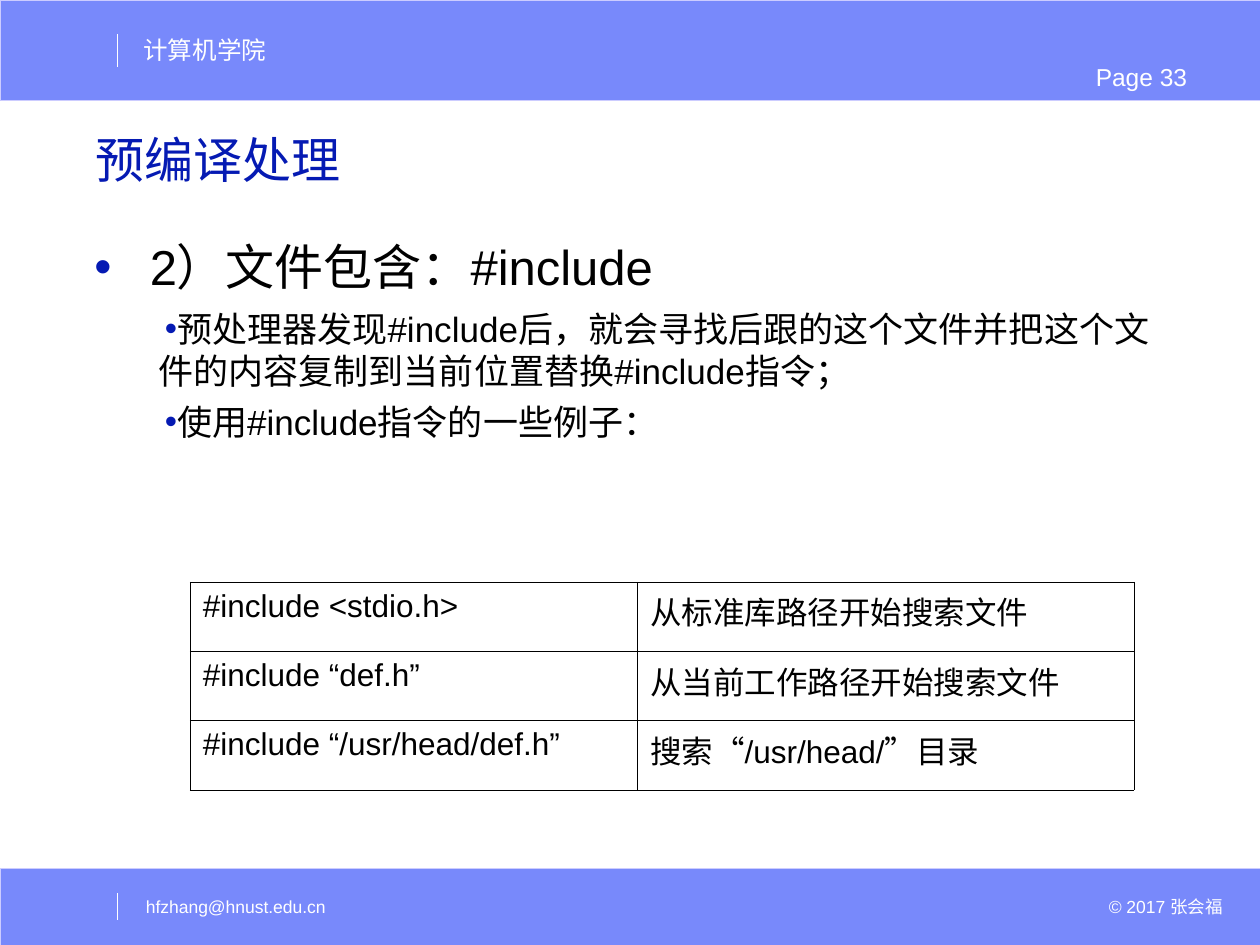
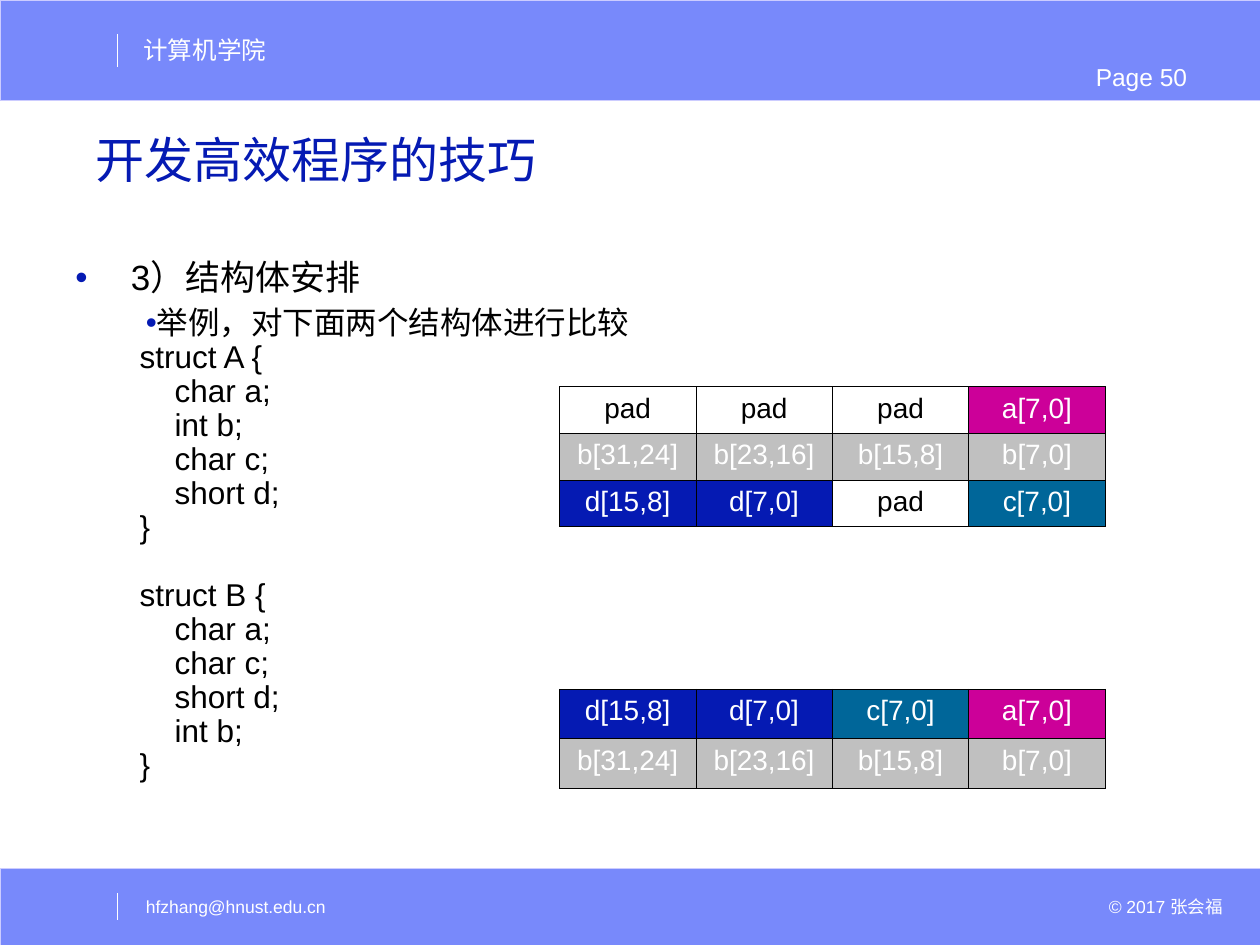
"""Build two lecture slides on C preprocessing and structure layout."""
import pptx
import pptx.dml.color
import pptx.enum.shapes
import pptx.enum.text
import pptx.oxml
import pptx.oxml.ns
import pptx.util
from lxml import etree

RGBColor = pptx.dml.color.RGBColor
Align = pptx.enum.text.PP_ALIGN
Anchor = pptx.enum.text.MSO_ANCHOR

BLACK = RGBColor(0x00, 0x00, 0x00)
WHITE = RGBColor(0xFF, 0xFF, 0xFF)
BAND = RGBColor(0x78, 0x89, 0xFB)
BAND_EDGE = RGBColor(0xCC, 0xCC, 0xFF)
BLUE = RGBColor(0x05, 0x1A, 0xB3)
MAGENTA = RGBColor(0xCC, 0x00, 0x99)
GREY = RGBColor(0xC0, 0xC0, 0xC0)
TEAL = RGBColor(0x00, 0x66, 0x99)
FIELD_FILLS = {"a": MAGENTA, "b": GREY, "c": TEAL, "d": BLUE}

COLUMNS, ROWS = 100, 75
TITLE_ONLY = 5

INCLUDE_FORMS = [
    ["#include <stdio.h>", "从标准库路径开始搜索文件"],
    ["#include “def.h”", "从当前工作路径开始搜索文件"],
    ["#include “/usr/head/def.h”", "搜索“/usr/head/”目录"],
]
B_WORD = ["b[31,24]", "b[23,16]", "b[15,8]", "b[7,0]"]
STRUCT_A = [
    ["pad", "pad", "pad", "a[7,0]"],
    B_WORD,
    ["d[15,8]", "d[7,0]", "pad", "c[7,0]"],
]
STRUCT_B = [["d[15,8]", "d[7,0]", "c[7,0]", "a[7,0]"], B_WORD]
STRUCT_CODE = """举例，对下面两个结构体进行比较
struct A {
    char a;
    int b;
    char c;
    short d;
}

struct B {
    char a;
    char c;
    short d;
    int b;
}"""


class Deck:
    """Holds the shared style and the slide being built."""

    def __init__(self):
        self.show = pptx.Presentation()
        self.show.slide_width = pptx.util.Inches(10)
        self.show.slide_height = pptx.util.Inches(7.5)
        self.slide = None

    def grid(self, *lengths):
        """Turn alternating column and row counts into lengths."""
        units = (self.show.slide_width / COLUMNS, self.show.slide_height / ROWS)
        return [round(n * units[i % 2]) for i, n in enumerate(lengths)]

    def style(self, paragraph, size, color, align=Align.LEFT, after=0, spacing=1.0):
        """Format one paragraph."""
        paragraph.alignment = align
        paragraph.space_before = pptx.util.Pt(0)
        paragraph.space_after = pptx.util.Pt(after)
        paragraph.line_spacing = spacing
        paragraph.font.name = "Arial"
        paragraph.font.size = pptx.util.Pt(size)
        paragraph.font.color.rgb = color

    def new_slide(self, title, page):
        """Add a slide with its title, bands and footer."""
        layout = self.show.slide_layouts[TITLE_ONLY]
        self.slide = self.show.slides.add_slide(layout)
        self.band(68.9, 6.1)
        self.band(0, 8)
        self.divider(2.7, 5.3)
        self.divider(70.9, 73)
        self.label("计算机学院", (10.4, 2.3, 12, 3.4), 14)
        self.label(f"Page {page}", (83.1, 4.4, 15, 3.2), 14, Align.CENTER)
        self.label("hfzhang@hnust.edu.cn", (10.6, 70.6, 17.8, 2.7), 10,
                   anchor=Anchor.MIDDLE)
        self.label("© 2017 张会福", (79.5, 70.6, 18.5, 2.7), 10, Align.RIGHT,
                   Anchor.MIDDLE)
        heading = self.slide.shapes.title
        heading.left, heading.top, heading.width, heading.height = self.grid(
            6.6, 8.6, 87.9, 8.6)
        heading.text_frame.text = title
        heading.text_frame.auto_size = pptx.enum.text.MSO_AUTO_SIZE.NONE
        heading.text_frame.vertical_anchor = Anchor.MIDDLE
        self.style(heading.text_frame.paragraphs[0], 28, BLUE, spacing=0.9)

    def band(self, top, height):
        """Draw a full-width band."""
        band = self.slide.shapes.add_shape(
            pptx.enum.shapes.MSO_SHAPE.RECTANGLE, *self.grid(0, top, COLUMNS, height))
        band.shadow.inherit = False
        band.fill.solid()
        band.fill.fore_color.rgb = BAND
        band.line.color.rgb = BAND_EDGE
        band.line.width = pptx.util.Pt(0.25)

    def divider(self, top, bottom):
        """Draw a short white upright line in a band."""
        divider = self.slide.shapes.add_connector(
            pptx.enum.shapes.MSO_CONNECTOR.STRAIGHT, *self.grid(9.3, top, 9.3, bottom))
        divider.line.color.rgb = WHITE
        divider.line.width = pptx.util.Pt(0.75)
        etree.SubElement(divider._element.spPr, pptx.oxml.ns.qn("a:effectLst"))

    def frame(self, area, anchor=Anchor.TOP):
        """Add a wrapping text box and return its text frame."""
        frame = self.slide.shapes.add_textbox(*self.grid(*area)).text_frame
        frame.word_wrap = True
        frame.vertical_anchor = anchor
        return frame

    def label(self, text, area, size, align=Align.LEFT, anchor=Anchor.TOP):
        """Write one white line in a band."""
        line = self.frame(area, anchor).paragraphs[0]
        line.text = text
        self.style(line, size, WHITE, align)

    def bullets(self, area, items, spacing=1.0):
        """Write bulleted items given as level, size, space after and text."""
        frame = self.frame(area)
        for number, (level, size, after, text) in enumerate(items):
            item = frame.add_paragraph() if number else frame.paragraphs[0]
            item.text = text
            item.level = level
            margin, indent = ((0.44, -0.44), (0.51, 0.05))[level]
            properties = item._p.get_or_add_pPr()
            properties.set("marL", str(pptx.util.Inches(margin)))
            properties.set("indent", str(pptx.util.Inches(indent)))
            namespace = pptx.oxml.ns.nsdecls("a")
            for mark in (f'<a:buClr {namespace}><a:srgbClr val="{BLUE}"/></a:buClr>',
                         f'<a:buFont {namespace} typeface="Arial"/>',
                         f'<a:buChar {namespace} char="•"/>'):
                properties.append(pptx.oxml.parse_xml(mark))
            self.style(item, size, BLACK, after=after, spacing=spacing)

    def table(self, corner, widths, height, rows, size, align, after):
        """Add a ruled table whose cells are coloured by structure field."""
        table = self.slide.shapes.add_table(
            len(rows), len(widths),
            *self.grid(*corner, sum(widths), height * len(rows))).table
        table.first_row = table.horz_banding = False
        for column, width in zip(table.columns, widths):
            column.width = self.grid(width)[0]
        for row, texts in zip(table.rows, rows):
            row.height = self.grid(0, height)[1]
            for cell, text in zip(row.cells, texts):
                self.borders(cell)
                fill = FIELD_FILLS.get(text[0])
                if fill is None:
                    cell.fill.background()
                else:
                    cell.fill.solid()
                    cell.fill.fore_color.rgb = fill
                cell.text = text
                self.style(cell.text_frame.paragraphs[0], size,
                           WHITE if fill else BLACK, align, after)

    def borders(self, cell):
        """Rule all four sides of a cell."""
        for side in "LRTB":
            cell._tc.get_or_add_tcPr().append(pptx.oxml.parse_xml(
                f'<a:ln{side} {pptx.oxml.ns.nsdecls("a")} w="{pptx.util.Pt(0.45)}">'
                f'<a:solidFill><a:srgbClr val="{BLACK}"/></a:solidFill></a:ln{side}>'))


def main():
    """Build and save both slides."""
    deck = Deck()

    deck.new_slide("预编译处理", 33)
    deck.bullets((6.5, 18.3, 88.2, 48.8), [
        (0, 28, 7, "2）文件包含：#include"),
        (1, 20, 5, "预处理器发现#include后，就会寻找后跟的这个文件并"
                   "把这个文件的内容复制到当前位置替换#include指令；"),
        (1, 20, 5, "使用#include指令的一些例子："),
    ])
    deck.table((15.1, 46.2), [35.5, 39.4], 5.5, INCLUDE_FORMS, 18, Align.LEFT, 4.5)

    deck.new_slide("开发高效程序的技巧", 50)
    deck.bullets((5, 20.2, 89.9, 52.8), [
        (0, 20, 5, "3）结构体安排"),
        (1, 18, 4.5, STRUCT_CODE),
    ], spacing=0.9)
    for top, height, words in ((30.7, 3.7, STRUCT_A), (54.7, 3.93, STRUCT_B)):
        deck.table((44.4, top), [10.83] * 4, height, words, 16, Align.CENTER, 4)

    deck.show.save("out.pptx")


if __name__ == "__main__":
    main()
